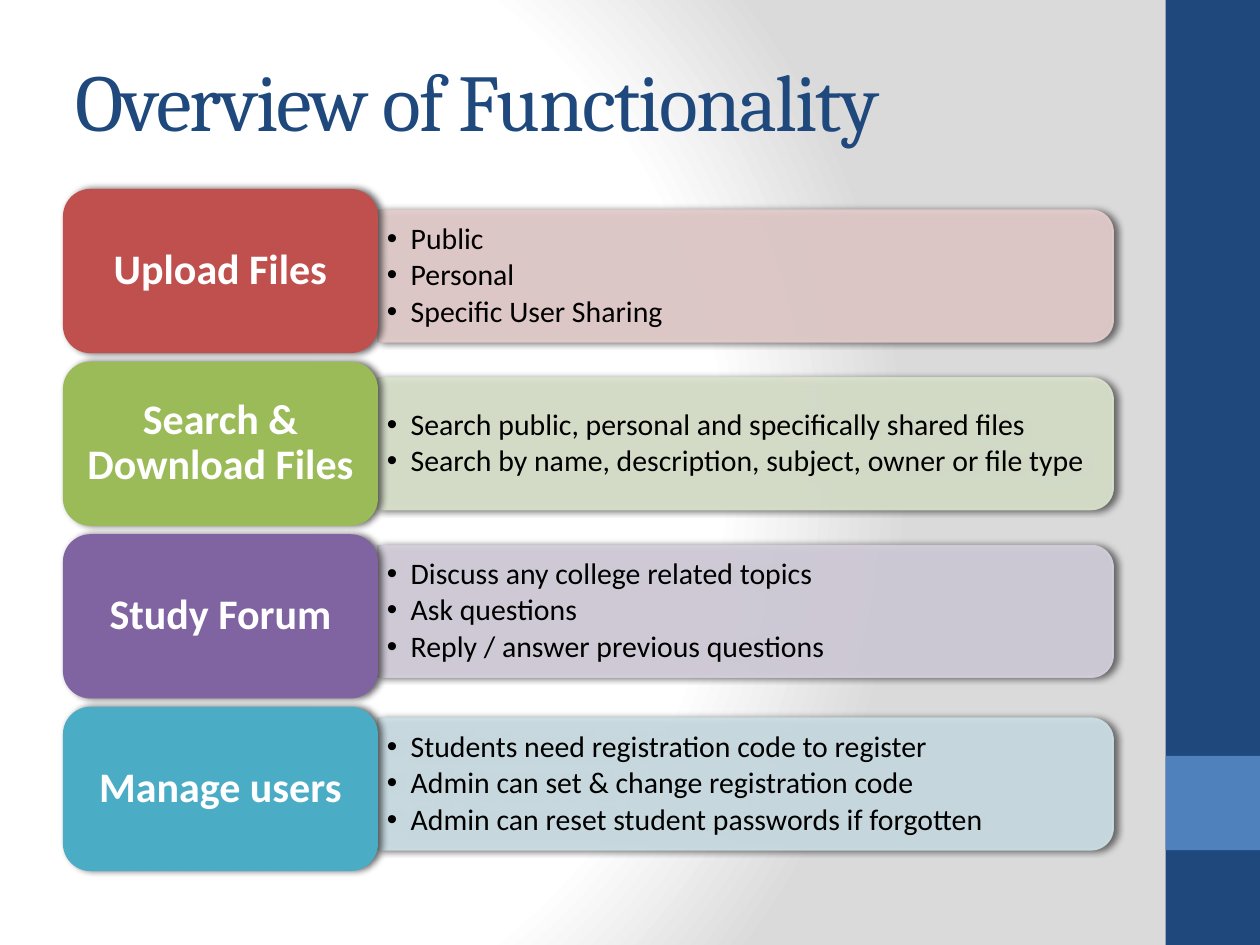
import math

import pptx
import pptx.dml.color
import pptx.enum.shapes
import pptx.enum.text
import pptx.oxml
import pptx.oxml.ns
import pptx.util

Cm, Pt = pptx.util.Cm, pptx.util.Pt
MSO_SHAPE = pptx.enum.shapes.MSO_SHAPE
ALIGN = pptx.enum.text.PP_ALIGN
qn = pptx.oxml.ns.qn
NS = 'xmlns:a="http://schemas.openxmlformats.org/drawingml/2006/main"'


def rgb(hex_color):
    return pptx.dml.color.RGBColor.from_string(hex_color)


def xml(text):
    """Make an element; the first tag gets the drawing namespace."""
    return pptx.oxml.parse_xml(text.replace("{NS}", NS))


def write(sp, lines, size, font, color, bold=False, align=ALIGN.LEFT, insets=(0.25, 0.13, 0.25, 0.13),
          line_spacing=None, after=0, bullet_indent=None, tracking=None):
    """Fill a shape with one paragraph per line; insets and indent in cm."""
    tf = sp.text_frame
    tf.word_wrap = True
    tf.vertical_anchor = pptx.enum.text.MSO_ANCHOR.MIDDLE
    tf.margin_left, tf.margin_top, tf.margin_right, tf.margin_bottom = map(Cm, insets)
    for i, line in enumerate(lines):
        p = tf.paragraphs[0] if i == 0 else tf.add_paragraph()
        p.alignment, p.line_spacing, p.space_after = align, line_spacing, Pt(after)
        if bullet_indent:
            pPr = p._p.get_or_add_pPr()
            pPr.set("marL", str(Cm(bullet_indent)))
            pPr.set("indent", str(-Cm(bullet_indent)))
            pPr.append(xml('<a:buFont {NS} typeface="Arial"/>'))
            pPr.append(xml('<a:buChar {NS} char="•"/>'))
        r = p.add_run()
        r.text = line
        r.font.size, r.font.name, r.font.bold = Pt(size), font, bold
        r.font.color.rgb = rgb(color)
        if tracking:
            r._r.get_or_add_rPr().set("spc", str(tracking))


class Deck:
    navy, blue = "1F497D", "4F81BD"
    heading_font, body_font = "Cambria", "Calibri"

    def __init__(self, width, height):
        self.prs = pptx.Presentation()
        self.prs.slide_width, self.prs.slide_height = Cm(width), Cm(height)
        self.s = self.prs.slides.add_slide(self.prs.slide_layouts[6])

    def background(self, stops):
        self.s.background.fill.gradient()
        grad = self.s._element.find(".//" + qn("a:gradFill"))
        gs = "".join(f'<a:gs pos="{pos * 1000}"><a:srgbClr val="{c}"/></a:gs>' for pos, c in stops)
        grad.getparent().replace(grad, xml(
            f'<a:gradFill {{NS}} rotWithShape="1"><a:gsLst>{gs}</a:gsLst><a:path path="circle">'
            '<a:fillToRect l="20000" t="50000" r="100000" b="50000"/></a:path></a:gradFill>'))

    def paint(self, sp, fill, line=None, opacity=None, shadow=False):
        sp.fill.solid()
        sp.fill.fore_color.rgb = rgb(fill)
        if line:
            sp.line.color.rgb = rgb(line)
            sp.line.width = Pt(1)
        else:
            sp.line.fill.background()
        if opacity:
            for color in sp._element.spPr.iter(qn("a:srgbClr")):
                color.append(xml(f'<a:alpha {{NS}} val="{opacity * 1000}"/>'))
        sp.shadow.inherit = False
        if shadow:
            sp._element.spPr.find(qn("a:effectLst")).append(xml(
                f'<a:outerShdw {{NS}} blurRad="{Pt(4)}" dist="{Pt(2)}" dir="0" rotWithShape="0">'
                '<a:srgbClr val="000000"><a:alpha val="60000"/></a:srgbClr></a:outerShdw>'))

    def block(self, x, y, w, h, fill, shape=MSO_SHAPE.RECTANGLE, shadow=False):
        sp = self.s.shapes.add_shape(shape, Cm(x), Cm(y), Cm(w), Cm(h))
        self.paint(sp, fill, shadow=shadow)
        return sp

    def title(self, text, x, y, w, h):
        sp = self.s.shapes.add_textbox(Cm(x), Cm(y), Cm(w), Cm(h))
        write(sp, [text], 46, self.heading_font, self.navy, tracking=-100)

    def panel(self, lines, x, y, w, h, fill, line, radius=0.44):
        """Bulleted panel with square left and round right corners."""
        def corner(cy, start):
            angles = [math.radians(start + 9 * k) for k in range(11)]
            return [(Cm(x + w - radius + radius * math.cos(a)), Cm(cy + radius * math.sin(a)))
                    for a in angles]

        fb = self.s.shapes.build_freeform(Cm(x), Cm(y))
        fb.add_line_segments(corner(y + radius, -90) + corner(y + h - radius, 0)
                             + [(Cm(x), Cm(y + h))], close=True)
        sp = fb.convert_to_shape()
        self.paint(sp, fill, line, opacity=90, shadow=True)
        write(sp, lines, 17, self.body_font, "000000", insets=(0.18, 0.23, 0.3, 0.23),
              line_spacing=0.9, after=2.5, bullet_indent=0.48)

    def tab(self, text, x, y, w, h, fill):
        sp = self.block(x, y, w, h, fill, MSO_SHAPE.ROUNDED_RECTANGLE, shadow=True)
        write(sp, [text], 24, self.body_font, "FFFFFF", bold=True, align=ALIGN.CENTER,
              insets=(0.23, 0.12, 0.23, 0.12), line_spacing=0.9)


# Rows: tab text, tab colour, panel top, panel fill, panel line, bullets
ROWS = [
    ("Upload Files", "C0504D", 4.24, "E8D0D0", "E3CBCB",
     ["Public", "Personal", "Specific User Sharing"]),
    ("Search & Download Files", "9BBB59", 7.62, "DEE7D1", "D9E2CC",
     ["Search public, personal and specifically shared files",
      "Search by name, description, subject, owner or file type"]),
    ("Study Forum", "8064A2", 11, "D8D3E0", "D3CEDB",
     ["Discuss any college related topics", "Ask questions",
      "Reply / answer previous questions"]),
    ("Manage users", "4BACC6", 14.48, "D0E3EA", "CBDEE5",
     ["Students need registration code to register",
      "Admin can set & change registration code",
      "Admin can reset student passwords if forgotten"]),
]


def main():
    deck = Deck(25.4, 19.05)

    # Background and side band
    deck.background([(0, "FFFFFF"), (75, "FFFFFF"), (100, "DADADA")])
    deck.block(23.5, 0, 1.9, 19.05, deck.navy)
    deck.block(23.5, 15.24, 1.9, 1.9, deck.blue)

    # Title
    deck.title("Overview of Functionality", 1.27, 0.64, 21.16, 2.74)

    # Functionality rows
    for i, (name, color, panel_top, fill, line, bullets) in enumerate(ROWS):
        deck.panel(bullets, 7.62, panel_top, 14.82, 2.65, fill, line)
        deck.tab(name, 1.27, 3.81 + 3.48 * i, 6.35, 3.31, color)

    deck.prs.save("out.pptx")


if __name__ == "__main__":
    main()
